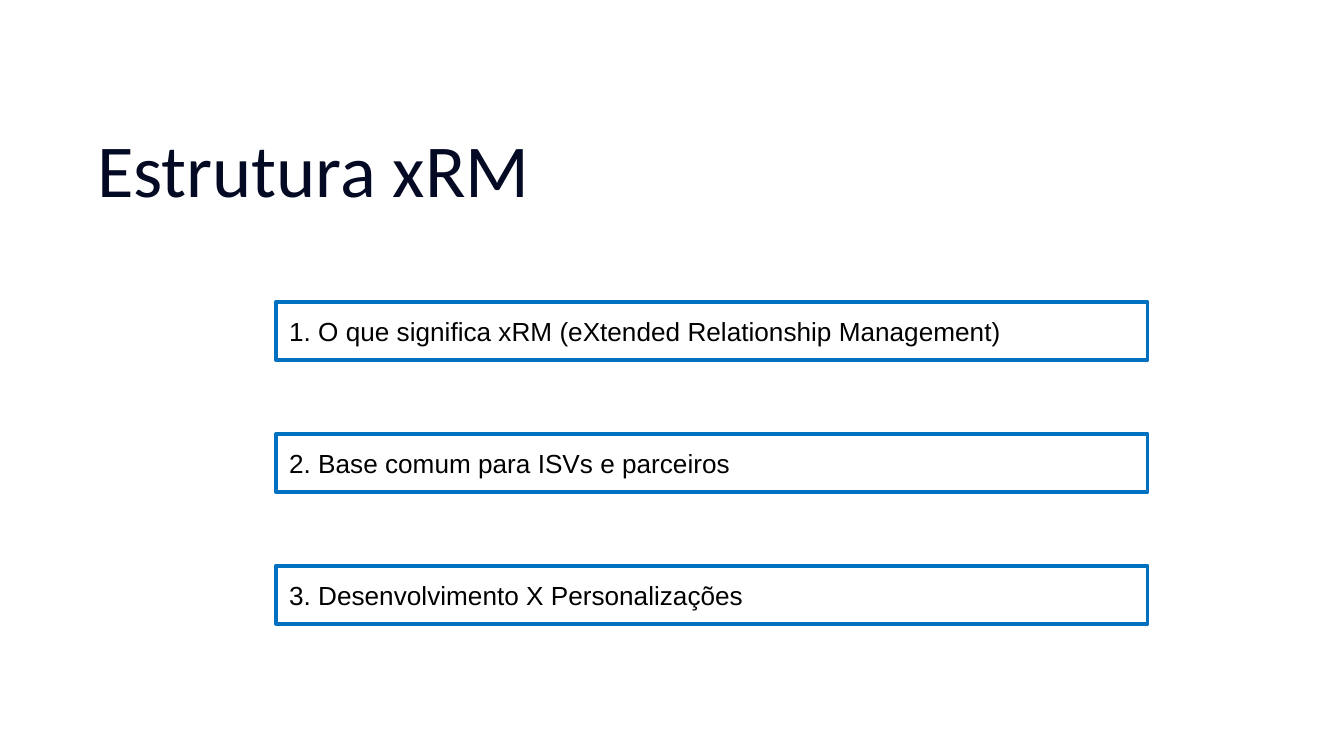
from pptx import Presentation
from pptx.dml.color import RGBColor
from pptx.enum.shapes import MSO_SHAPE
from pptx.enum.text import MSO_ANCHOR, MSO_AUTO_SIZE, PP_ALIGN
from pptx.util import Pt

RECT = MSO_SHAPE.RECTANGLE
MIDDLE = MSO_ANCHOR.MIDDLE
FIXED = MSO_AUTO_SIZE.NONE
LEFT = PP_ALIGN.LEFT

TOPICS = [
    "1. O que significa xRM (eXtended Relationship Management)",
    "2. Base comum para ISVs e parceiros",
    "3. Desenvolvimento X Personalizações",
]


def color(code):
    """Turn a hex string into a colour."""
    return RGBColor.from_string(code)


def write(shape, text, font, size, code, pad, lines=1.0):
    """Set one left-aligned line of text in the middle of a shape."""
    frame = shape.text_frame
    frame.word_wrap = True
    frame.auto_size = FIXED
    frame.vertical_anchor = MIDDLE
    frame.margin_left = frame.margin_right = Pt(7.2)
    frame.margin_top = frame.margin_bottom = Pt(pad)
    para = frame.paragraphs[0]
    para.alignment = LEFT
    para.line_spacing = lines
    para.space_before = Pt(0)
    run = para.add_run()
    run.text = text
    run.font.name = font
    run.font.size = Pt(size)
    run.font.color.rgb = color(code)


def add_title(slide, text, left, top, width, height):
    """Place and format the title placeholder."""
    title = slide.shapes.title
    title.left, title.top = Pt(left), Pt(top)
    title.width, title.height = Pt(width), Pt(height)
    write(title, text, "Calibri", 40, "040A24", 7.2, 1.15)


def add_topics(slide, topics, left, top, width, height, bar=31):
    """Spread outlined topic bars evenly over the given box."""
    step = (height - bar) / (len(topics) - 1)
    for index, topic in enumerate(topics):
        shape = slide.shapes.add_shape(
            RECT, Pt(left), Pt(top + index * step), Pt(width), Pt(bar))
        shape.shadow.inherit = False
        shape.fill.background()
        shape.line.color.rgb = color("0070C0")
        shape.line.width = Pt(2)
        write(shape, topic, "Arial", 14, "000000", 3.6)


def main():
    """Build the slide and save it."""
    deck = Presentation()
    deck.slide_width, deck.slide_height = Pt(720), Pt(405)
    slide = deck.slides.add_slide(deck.slide_layouts[5])
    add_title(slide, "Estrutura xRM", 44.8, 53.4, 656, 66)
    add_topics(slide, TOPICS, 147.8, 161.8, 467, 172.4)
    deck.save("out.pptx")


if __name__ == "__main__":
    main()
